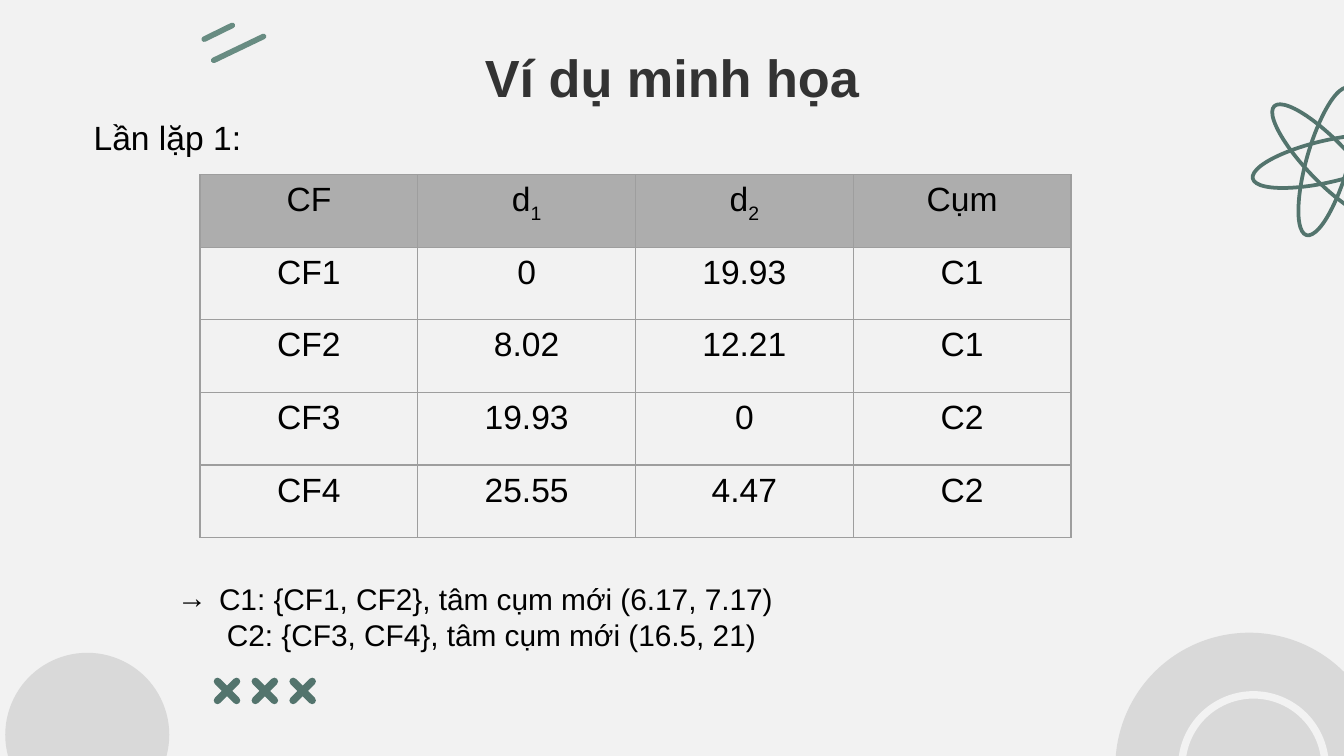
from dataclasses import dataclass

from lxml.etree import SubElement
from pptx import Presentation
from pptx.dml.color import RGBColor as RGB
from pptx.enum.shapes import MSO_CONNECTOR as Conn, MSO_SHAPE as Shape
from pptx.enum.text import MSO_ANCHOR as Anchor, PP_ALIGN as Align
from pptx.oxml.ns import qn
from pptx.util import Cm, Pt


@dataclass(frozen=True)
class Theme:
    font: str = "Arial"
    paper: str = "F2F2F2"
    disc: str = "D9D9D9"
    green: str = "53746D"
    stroke: str = "688C82"
    title: str = "333333"
    ink: str = "000000"
    header: str = "ADADAD"
    border: str = "9E9E9E"
    title_size: int = 28
    body_size: int = 18
    note_size: int = 16


T = Theme()
HEADER = [("CF", ""), ("d", "1"), ("d", "2"), ("Cụm", "")]
ROWS = [
    ("CF1", "0", "19.93", "C1"),
    ("CF2", "8.02", "12.21", "C1"),
    ("CF3", "19.93", "0", "C2"),
    ("CF4", "25.55", "4.47", "C2"),
]


def rgb(value):
    return RGB.from_string(value)


def write(p, text, size=T.body_size, color=T.ink, bold=False, align=Align.LEFT, sub=False):
    p.alignment = align
    r = p.add_run()
    r.text = text
    r.font.name = T.font
    r.font.size = Pt(size)
    r.font.bold = bold
    r.font.color.rgb = rgb(color)
    if sub:
        r._r.get_or_add_rPr().set("baseline", "-25000")


def text_frame(slide, box, anchor=Anchor.TOP):
    tf = slide.shapes.add_textbox(*map(Cm, box)).text_frame
    tf.word_wrap = True
    tf.vertical_anchor = anchor
    return tf


def oval(slide, box, fill=None, line=None, width=0, angle=0):
    sp = slide.shapes.add_shape(Shape.OVAL, *map(Cm, box))
    sp.shadow.inherit = False
    sp.rotation = angle
    if fill:
        sp.fill.solid()
        sp.fill.fore_color.rgb = rgb(fill)
    else:
        sp.fill.background()
    if line:
        sp.line.color.rgb = rgb(line)
        sp.line.width = Pt(width)
    else:
        sp.line.fill.background()


def round_line(slide, ends, color, width):
    sp = slide.shapes.add_connector(Conn.STRAIGHT, *map(Cm, ends))
    sp.line.color.rgb = rgb(color)
    sp.line.width = Pt(width)
    sp.line._get_or_add_ln().set("cap", "rnd")
    SubElement(sp._element.spPr, qn("a:effectLst"))


def add_target(slide, box):
    x, y, d, _ = box
    inner = 2.71
    gap = (d - inner) / 2
    oval(slide, box, fill=T.disc)
    oval(slide, (x + gap + 0.08, y + gap, inner, inner), line=T.paper, width=4)


def add_crosses(slide, box):
    x, y, w, h = box
    step = (w - h) / 2
    for i in range(3):
        left = x + i * step
        round_line(slide, (left, y, left + h, y + h), T.green, 4)
        round_line(slide, (left, y + h, left + h, y), T.green, 4)


def add_strokes(slide, box):
    x, y, w, h = box
    round_line(slide, (x + 0.18, y + h, x + w, y + 0.21), T.stroke, 3)
    round_line(slide, (x, y + 0.26, x + 0.53, y), T.stroke, 3)


def add_atom(slide, box):
    x, y, w, h = box
    orbit = 0.79
    for angle in (-74, -13, 46):
        oval(slide, (x, y + (h - orbit) / 2, w, orbit), line=T.green, width=2, angle=angle)


def add_title(slide, box):
    tf = text_frame(slide, box, Anchor.MIDDLE)
    tf.margin_top = tf.margin_bottom = Cm(0.25)
    write(tf.paragraphs[0], "Ví dụ minh họa", size=T.title_size, color=T.title,
          bold=True, align=Align.CENTER)


def add_subtitle(slide, box):
    write(text_frame(slide, box).paragraphs[0], "Lần lặp 1:")


def style_cell(cell, fill):
    tcPr = cell._tc.get_or_add_tcPr()
    for side in ("lnL", "lnR", "lnT", "lnB"):
        ln = SubElement(tcPr, qn(f"a:{side}"), w=str(Pt(0.75)))
        SubElement(SubElement(ln, qn("a:solidFill")), qn("a:srgbClr"), val=T.border)
    if fill:
        cell.fill.solid()
        cell.fill.fore_color.rgb = rgb(fill)
    else:
        cell.fill.background()


def add_distance_table(slide, box):
    rows = [HEADER] + [[(value, "") for value in row] for row in ROWS]
    table = slide.shapes.add_table(len(rows), len(HEADER), *map(Cm, box)).table
    table.first_row = table.horz_banding = False
    for i, row in enumerate(rows):
        for j, (text, index) in enumerate(row):
            cell = table.cell(i, j)
            style_cell(cell, None if i else T.header)
            p = cell.text_frame.paragraphs[0]
            write(p, text, align=Align.CENTER)
            if index:
                write(p, index, align=Align.CENTER, sub=True)


def add_clusters(slide, box):
    tf = text_frame(slide, box)
    first, second = tf.paragraphs[0], tf.add_paragraph()
    write(first, "C1: {CF1, CF2}, tâm cụm mới (6.17, 7.17)", size=T.note_size)
    write(second, "C2: {CF3, CF4}, tâm cụm mới (16.5, 21)", size=T.note_size)
    pPr = first._p.get_or_add_pPr()
    pPr.set("marL", str(Cm(0.79)))
    pPr.set("indent", str(-Cm(0.79)))
    SubElement(pPr, qn("a:buFont"), typeface=T.font)
    SubElement(pPr, qn("a:buChar"), char="→")
    second._p.get_or_add_pPr().set("marL", str(Cm(0.94)))


def main():
    prs = Presentation()
    prs.slide_width, prs.slide_height = Cm(25.4), Cm(14.29)
    slide = prs.slides.add_slide(prs.slide_layouts[6])
    slide.background.fill.solid()
    slide.background.fill.fore_color.rgb = rgb(T.paper)

    add_target(slide, (21.08, 11.96, 5.06, 5.06))
    add_crosses(slide, (4.11, 12.88, 1.79, 0.36))
    add_strokes(slide, (3.86, 0.48, 1.12, 0.66))
    oval(slide, (0.1, 12.34, 3.1, 3.1), fill=T.disc)
    add_atom(slide, (23.64, 1.6, 2.9, 2.9))
    add_title(slide, (1.98, 0.61, 21.44, 1.68))
    add_subtitle(slide, (1.52, 2.08, 20.96, 1.8))
    add_distance_table(slide, (3.78, 3.3, 16.46, 6.86))
    add_clusters(slide, (3.1, 10.85, 16.46, 1.63))
    prs.save("out.pptx")


if __name__ == "__main__":
    main()
